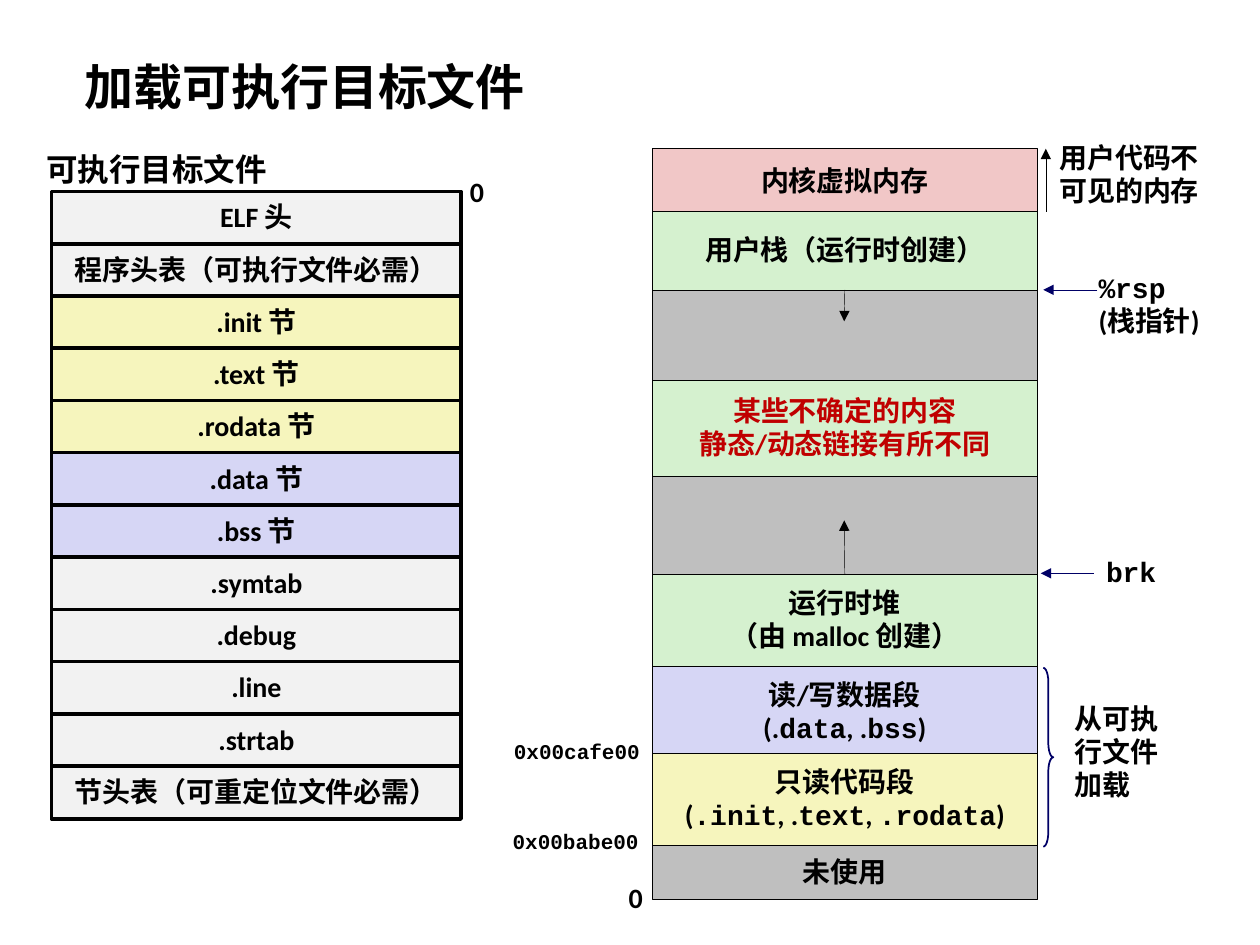
from pptx import Presentation
from pptx.dml.color import RGBColor
from pptx.enum.shapes import MSO_CONNECTOR as Connector, MSO_SHAPE as Shape
from pptx.enum.text import MSO_ANCHOR as Anchor, MSO_AUTO_SIZE as AutoSize, PP_ALIGN as Align
from pptx.oxml.ns import qn
from pptx.util import Inches, Pt
from lxml.etree import SubElement

COLORS = {
    "black": "000000", "red": "C00000", "navy": "000066",
    "light": "F2F2F2", "yellow": "F6F5BD", "blue": "D6D6F5",
    "green": "D5F1CF", "pink": "F1C7C7", "gray": "BFBFBF",
}
SANS, MONO, TITLE = "Calibri", "Courier New", "Comic Neue"


def color(name):
    return RGBColor.from_string(COLORS[name])


class SlideBuilder:
    def __init__(self, slide):
        self.slide = slide

    def style_font(self, font, name, size, ink="black"):
        font.name, font.size, font.bold = name, Pt(size), True
        font.color.rgb = color(ink)

    def title(self, text, left, top, width, height):
        shape = self.slide.shapes.title
        shape.left, shape.top = Inches(left), Inches(top)
        shape.width, shape.height = Inches(width), Inches(height)
        frame = shape.text_frame
        frame.text = text
        frame.vertical_anchor = Anchor.MIDDLE
        paragraph = frame.paragraphs[0]
        paragraph.alignment = Align.LEFT
        self.style_font(paragraph.font, TITLE, 28)

    def add_lines(self, frame, text, align, size=16, font=SANS, ink="black"):
        """Fill a frame line by line; parts between backticks are monospaced."""
        for index, line in enumerate(text.split("\n")):
            paragraph = frame.add_paragraph() if index else frame.paragraphs[0]
            paragraph.alignment = align
            paragraph.line_spacing = 0.94 if font == MONO else 0.98
            self.style_font(paragraph.font, font, size, ink)
            for part, words in enumerate(line.split("`")):
                if words:
                    run = paragraph.add_run()
                    run.text = words
                    if part % 2:
                        run.font.name = MONO

    def box(self, text, left, top, width, height, fill, weight, ink="black"):
        shape = self.slide.shapes.add_shape(
            Shape.RECTANGLE, Inches(left), Inches(top), Inches(width), Inches(height))
        shape.shadow.inherit = False
        shape.fill.solid()
        shape.fill.fore_color.rgb = color(fill)
        shape.line.color.rgb = color("black")
        shape.line.width = Pt(weight)
        if text:
            frame = shape.text_frame
            frame.word_wrap = False
            frame.vertical_anchor = Anchor.MIDDLE
            self.add_lines(frame, text, Align.CENTER, ink=ink)
        return shape

    def label(self, text, left, top, width, height, wrap=False, size=16, font=SANS):
        frame = self.slide.shapes.add_textbox(
            Inches(left), Inches(top), Inches(width), Inches(height)).text_frame
        frame.word_wrap = wrap
        frame.auto_size = AutoSize.SHAPE_TO_FIT_TEXT
        self.add_lines(frame, text, Align.LEFT, size, font)

    def arrow(self, start, end, ink="black", joined=None):
        """joined is an optional (shape, side) the arrow begins at."""
        connector = self.slide.shapes.add_connector(
            Connector.STRAIGHT, *(Inches(length) for length in (*start, *end)))
        if joined:
            connector.begin_connect(*joined)
        connector.line.color.rgb = color(ink)
        connector.line.width = Pt(0.25)
        properties = connector._element.spPr
        SubElement(properties.find(qn("a:ln")), qn("a:tailEnd"), type="triangle")
        SubElement(properties, qn("a:effectLst"))

    def brace(self, left, top, width, height):
        shape = self.slide.shapes.add_shape(
            Shape.RIGHT_BRACE, Inches(left), Inches(top), Inches(width), Inches(height))
        shape.shadow.inherit = False
        shape.adjustments[0] = 1.42
        shape.fill.background()
        shape.line.color.rgb = color("navy")
        shape.line.width = Pt(1)


def main():
    presentation = Presentation()
    presentation.slide_width, presentation.slide_height = Inches(10), Inches(7.5)
    builder = SlideBuilder(presentation.slides.add_slide(presentation.slide_layouts[5]))
    builder.title("加载可执行目标文件", 0.57, 0.18, 8.83, 1)

    # Object file sections
    sections = [
        ("ELF 头", "light"), ("程序头表（可执行文件必需）", "light"),
        (".init 节", "yellow"), (".text 节", "yellow"), (".rodata 节", "yellow"),
        (".data 节", "blue"), (".bss 节", "blue"),
        (".symtab", "light"), (".debug", "light"), (".line", "light"),
        (".strtab", "light"), ("节头表（可重定位文件必需）", "light"),
    ]
    first_top, last_top = 1.52, 6.08
    row_step = (last_top - first_top) / (len(sections) - 1)
    for index, (name, fill) in enumerate(sections):
        builder.box(name, 0.41, first_top + index * row_step, 3.25, 0.42, fill, 2)
    builder.label("可执行目标文件", 0.27, 1.16, 1.97, 0.4, size=18)
    builder.label("0", 3.63, 1.35, 0.31, 0.37)

    # Memory segments, free gaps first so that the others overlap them
    def segment(text, top, height, fill, ink="black"):
        return builder.box(text, 5.18, top, 3.05, height, fill, 0.25, ink)

    segment("", 2.05, 0.99, "gray")
    segment("", 3.77, 0.79, "gray")
    segment("内核虚拟内存", 1.18, 0.53, "pink")
    stack = segment("用户栈（运行时创建）", 1.68, 0.62, "green")
    segment("某些不确定的内容\n静态/动态链接有所不同", 3.02, 0.76, "green", "red")
    heap = segment("运行时堆\n（由 malloc 创建）", 4.56, 0.73, "green")
    segment("读/写数据段\n(.`data`, .`bss`)", 5.29, 0.73, "blue")
    segment("只读代码段\n(`.init`, .`text`, `.rodata`)", 5.98, 0.73, "yellow")
    segment("未使用", 6.71, 0.43, "gray")

    # Growth directions and pointers
    builder.arrow((6.7, 2.3), (6.7, 2.55), joined=(stack, 2))
    builder.arrow((6.7, 4.56), (6.7, 4.13), joined=(heap, 0))
    builder.arrow((8.3, 1.68), (8.3, 1.18))
    builder.arrow((8.71, 2.3), (8.28, 2.3), "navy")
    builder.arrow((8.68, 4.55), (8.26, 4.55), "navy")
    builder.brace(8.28, 5.3, 0.08, 1.42)

    # Labels beside the memory
    builder.label("用户代码不可见的内存", 8.31, 1.08, 1.44, 0.63, wrap=True)
    builder.label("`%rsp`\n(栈指针)", 8.62, 2.11, 1.01, 0.62, wrap=True)
    builder.label("brk", 8.68, 4.37, 0.6, 0.36, font=MONO)
    builder.label("从可执行文件加载", 8.43, 5.53, 0.95, 0.89, wrap=True)
    builder.label("0x00cafe00", 3.98, 5.83, 1.56, 0.3, wrap=True, size=12, font=MONO)
    builder.label("0x00babe00", 3.97, 6.54, 1.22, 0.3, wrap=True, size=12, font=MONO)
    builder.label("0", 4.89, 6.95, 0.31, 0.37)

    presentation.save("out.pptx")


if __name__ == "__main__":
    main()
